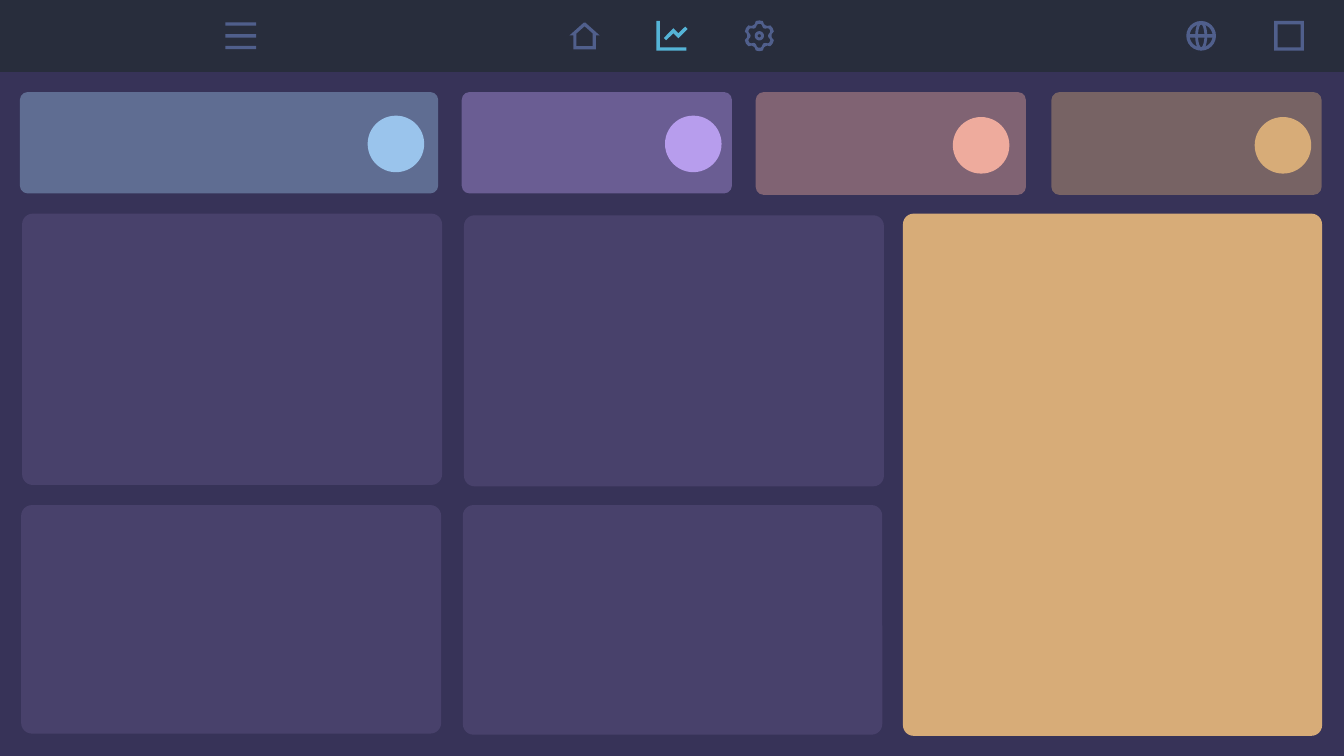
from math import cos, radians, sin

from lxml import etree
from pptx import Presentation
from pptx.dml.color import RGBColor
from pptx.enum import shapes
from pptx.oxml import ns
from pptx.util import Pt

# Content: colours, and boxes as left, top, width, height in points
WIDTH, HEIGHT = 960, 540
BACKDROP, BAR, PANEL = "373358", "282D3C", "48416B"
MUTED, ACTIVE = "505F8C", "55B4D7"
BAR_HEIGHT = 51.4
RADIUS = 7.6
PANELS = [
    ((15.8, 152.6, 300, 193.8), PANEL),
    ((331.4, 153.8, 300, 193.6), PANEL),
    ((15.1, 360.8, 300, 163.2), PANEL),
    ((330.6, 360.8, 299.6, 164), PANEL),
    ((645, 152.6, 299.4, 373), "D7AC78"),
]
CARD_OPACITY, CARD_ROUNDING, DOT = 40, 0.077, 40.4
CARDS = [  # box, card colour, dot left and top, dot colour
    ((14.2, 65.8, 298.8, 72.4), "9BC5EB", (262.6, 82.6), "9AC4EC"),
    ((329.8, 65.8, 193, 72.4), "B79DED", (475, 82.6), "B79DED"),
    ((539.8, 65.8, 193, 73.4), "EEAB9D", (680.6, 83.6), "EEAB9D"),
    ((751, 65.8, 193, 73.4), "D7AC78", (896.2, 83.6), "D7AC78"),
]

# Icons: centres, and outlines relative to the centre
ICON_Y, ICON_SIZE, STROKE = 25.6, 21.2, 2.4
MENU_X, HOME_X, CHART_X, GEAR_X, GLOBE_X, FRAME_X = 172, 417.6, 480, 542.4, 858, 920.8
MENU_WIDTH, MENU_STEP = 22, 8.4
HOME = [
    [(-8, 9.7), (-8, -0.3), (-10.8, -0.3), (-0.6, -9.4), (0.6, -9.4),
     (10.8, -0.3), (8, -0.3), (8, 9.7)],
    [(-5.8, 7.4), (5.8, 7.4), (5.8, -1.7), (0, -6.8), (-5.8, -1.7)],
]
CHART = [
    [(-11.2, -10.6), (-8.7, -10.6), (-8.7, 8.2), (10.4, 8.2), (10.4, 10.6), (-11.2, 10.6)],
    [(9.5, -6.6), (11.2, -4.8), (4.6, 1.8), (1, -1.8), (-4.1, 3.2), (-5.8, 1.6),
     (1, -5.4), (4.6, -1.8)],
]
# Gear rings: angle and radius pairs, repeated every 60 degrees
GEAR = [
    [(-9, 9), (0, 8.7), (9, 9), (14, 10.2), (17, 10.8), (30, 11), (43, 10.8), (46, 10.2)],
    [(-9, 6.6), (0, 6.2), (9, 6.6), (17, 7.9), (24, 8.6), (36, 8.6), (43, 7.9)],
    [(angle, 3.3) for angle in range(0, 60, 15)],
    [(angle, 1.2) for angle in range(0, 60, 15)],
]

presentation = Presentation()
presentation.slide_width, presentation.slide_height = Pt(WIDTH), Pt(HEIGHT)
slide = presentation.slides.add_slide(presentation.slide_layouts[6])
KIND = shapes.MSO_SHAPE


def paint(fill, color, opacity=100):
    fill.solid()
    fill.fore_color.rgb = RGBColor.from_string(color)
    if opacity < 100:
        tint = fill._xPr.find(".//" + ns.qn("a:srgbClr"))
        etree.SubElement(tint, ns.qn("a:alpha"), val=str(opacity * 1000))


def add(kind, box, color, adjustment=None, opacity=100):
    shape = slide.shapes.add_shape(kind, *map(Pt, box))
    shape.shadow.inherit = False
    paint(shape.fill, color, opacity)
    shape.line.fill.background()
    if adjustment is not None:
        shape.adjustments[0] = adjustment
    return shape


def centred(x, y, width, height):
    return x - width / 2, y - height / 2, width, height


def add_outline(contours, x, color):
    placed = [[((x + dx) * 100, (ICON_Y + dy) * 100) for dx, dy in contour]
              for contour in contours]
    builder = slide.shapes.build_freeform(*placed[0][0], scale=Pt(1) / 100)
    for number, points in enumerate(placed):
        if number:
            builder.move_to(*points[0])
        builder.add_line_segments(points[1:], close=True)
    shape = builder.convert_to_shape()
    shape.shadow.inherit = False
    paint(shape.fill, color)
    shape.line.fill.background()


def six_fold(ring):
    return [(radius * cos(radians(turn + angle)), radius * sin(radians(turn + angle)))
            for turn in range(0, 360, 60) for angle, radius in ring]


# Backdrop, top bar and panels
paint(slide.background.fill, BACKDROP)
add(KIND.RECTANGLE, (0, 0, WIDTH, BAR_HEIGHT), BAR)
for box, color in PANELS:
    add(KIND.ROUNDED_RECTANGLE, box, color, RADIUS / min(box[2:]))

# Navigation icons
for row in (-1, 0, 1):
    add(KIND.RECTANGLE,
        centred(MENU_X, ICON_Y + row * MENU_STEP, MENU_WIDTH, STROKE), MUTED)
add_outline(HOME, HOME_X, MUTED)
add_outline(CHART, CHART_X, ACTIVE)
add_outline([six_fold(ring) for ring in GEAR], GEAR_X, MUTED)

# Globe and square frame
icon = ICON_SIZE, ICON_SIZE
add(KIND.DONUT, centred(GLOBE_X, ICON_Y, *icon), MUTED, STROKE / ICON_SIZE)
add(KIND.RECTANGLE, centred(GLOBE_X, ICON_Y, ICON_SIZE - STROKE, STROKE), MUTED)
meridian = add(KIND.OVAL, centred(GLOBE_X, ICON_Y, 6.6, ICON_SIZE - STROKE), MUTED)
meridian.fill.background()
paint(meridian.line.fill, MUTED)
meridian.line.width = Pt(2)
add(KIND.FRAME, centred(FRAME_X, ICON_Y, *icon), MUTED, STROKE / ICON_SIZE)

# Cards, then their dots
for box, color, _, _ in CARDS:
    add(KIND.ROUNDED_RECTANGLE, box, color, CARD_ROUNDING, CARD_OPACITY)
for _, _, corner, color in CARDS:
    add(KIND.OVAL, (*corner, DOT, DOT), color)

presentation.save("out.pptx")
